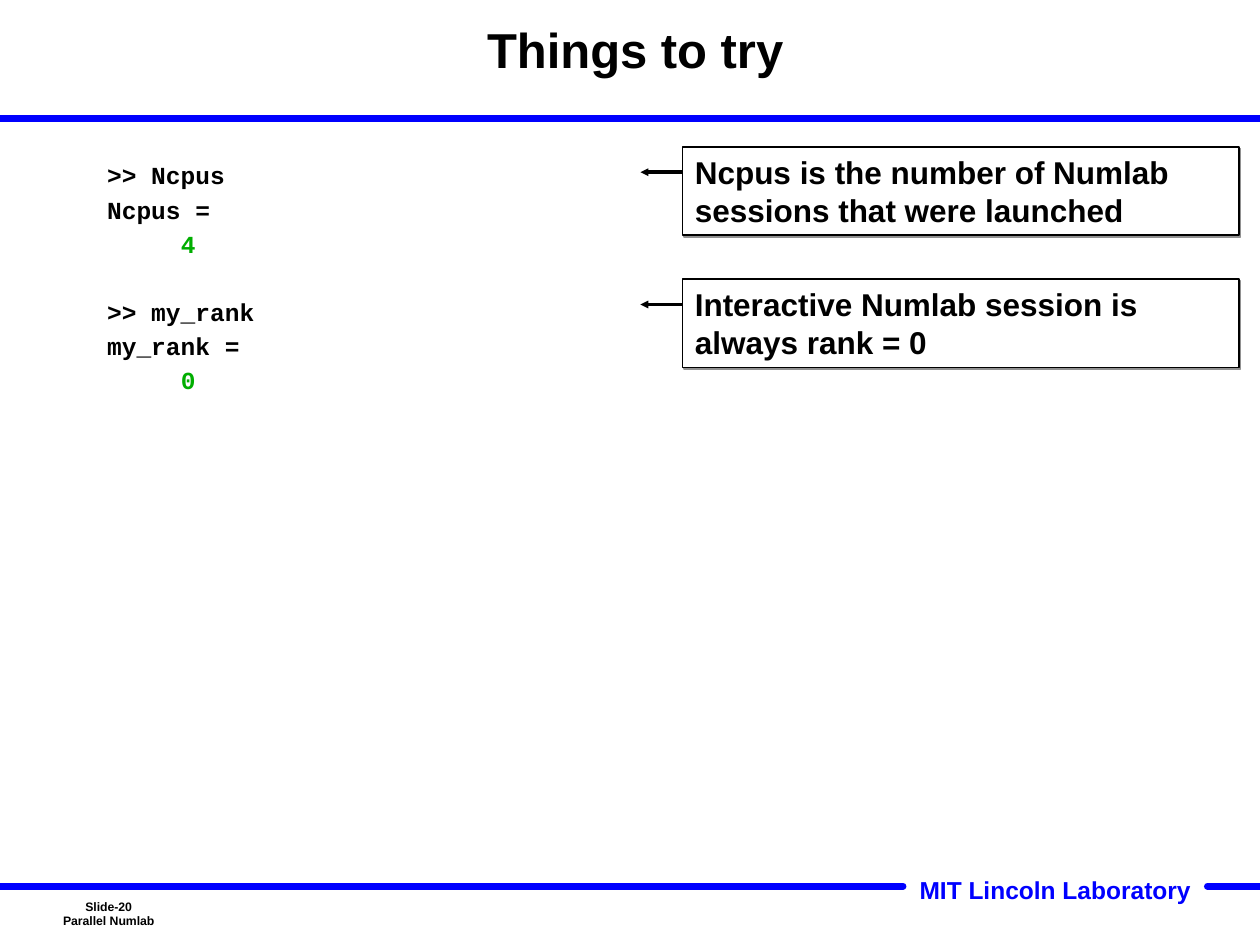
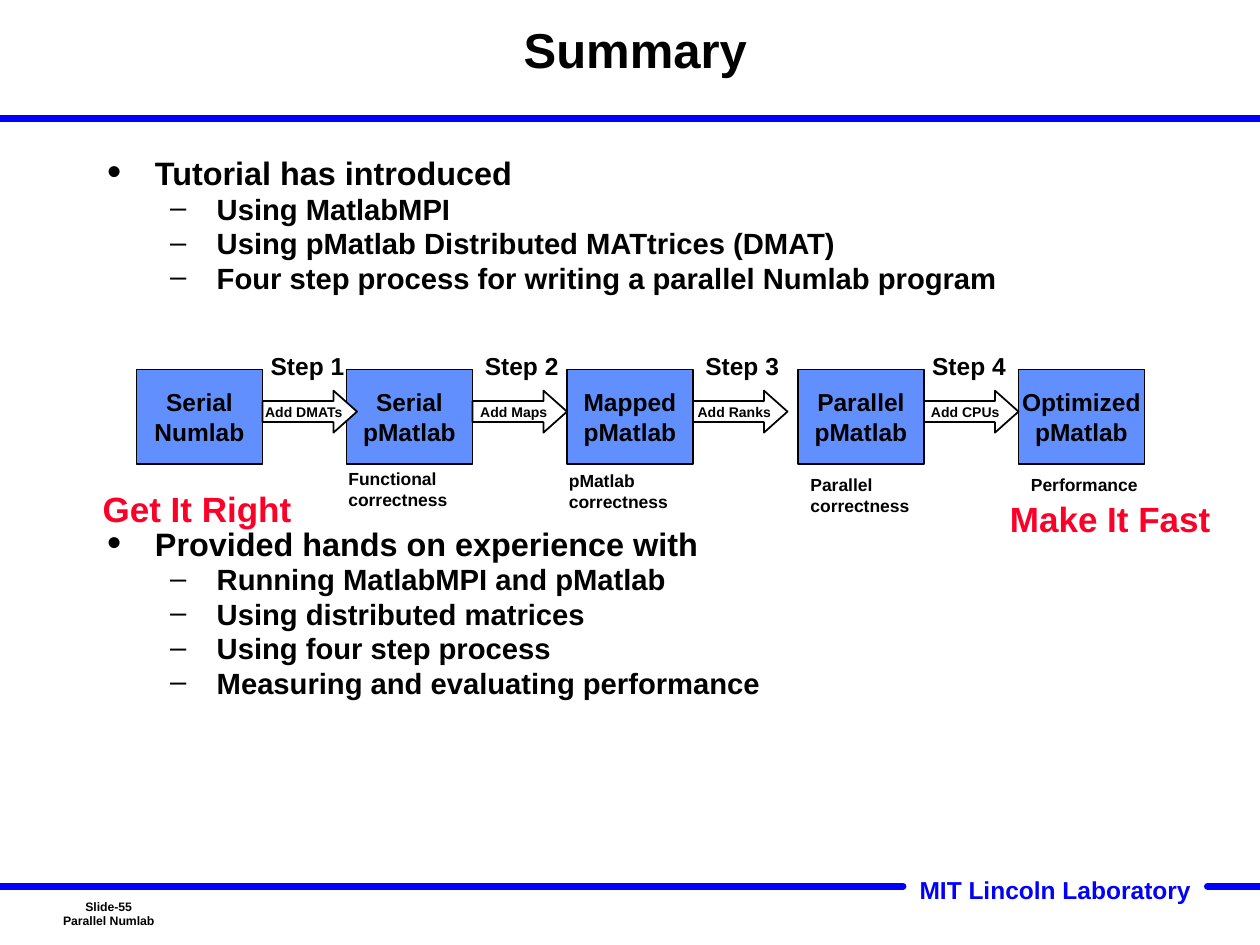
from lxml.etree import SubElement
from pptx import Presentation
from pptx.dml.color import RGBColor
from pptx.enum.shapes import MSO_CONNECTOR, MSO_SHAPE
from pptx.enum.text import MSO_ANCHOR, MSO_AUTO_SIZE, PP_ALIGN
from pptx.oxml.ns import qn
from pptx.util import Inches, Pt

BLACK, WHITE, BLUE = "000000", "FFFFFF", "0000FF"
BOX_BLUE, RED, GREEN, SHADOW = "618FFD", "FC0128", "00AE00", "919191"
SANS, MONO = "Arial", "Courier New"
TITLE_AREA = (14, 0, 93, 10)
RULES = [(0, 11.25, 120), (0, 84.4, 86), (115, 84.4, 120)]  # left, row, right

CODE_BLOCKS = [(">> Ncpus", "Ncpus =", "4"), (">> my_rank", "my_rank =", "0")]
CALLOUTS = [
    (14, ["Ncpus is the number of Numlab", "sessions that were launched"]),
    (26.6, ["Interactive Numlab session is", "always rank = 0"]),
]
SUMMARY = [
    ("Tutorial has introduced",
     ["Using MatlabMPI", "Using pMatlab Distributed MATtrices (DMAT)",
      "Four step process for writing a parallel Numlab program"]),
    ("Provided hands on experience with",
     ["Running MatlabMPI and pMatlab", "Using distributed matrices",
      "Using four step process", "Measuring and evaluating performance"]),
]
STAGES = [(13, "Serial", "Numlab"), (33, "Serial", "pMatlab"),
          (54, "Mapped", "pMatlab"), (76, "Parallel", "pMatlab"),
          (97, "Optimized", "pMatlab")]
STEPS = [(24.6, "Add DMATs"), (45, "Add Maps"), (66, "Add Ranks"),
         (87.6, "Add CPUs")]  # left of the step label, text of the arrow
CHECKS = [(32, 44, "Functional correctness"), (53, 44.2, "pMatlab correctness"),
          (76, 44.6, "Parallel correctness"), (97, 44.6, "Performance")]
SLOGANS = [(8.6, 45.8, 20.4, "Get It Right"), (95, 46.8, 21.5, "Make It Fast")]


def color(value):
    return RGBColor.from_string(value)


def grid(*cells):
    """Lengths on a grid of 120 columns and 90 rows, twelve to the inch."""
    return [Inches(cell / 12) for cell in cells]


def style(paragraph, size, font_color=BLACK, name=SANS):
    font = paragraph.font
    font.size, font.bold, font.name = Pt(size), True, name
    font.color.rgb = color(font_color)


def write(shape, lines, size, font_color=BLACK, align=PP_ALIGN.LEFT,
          anchor=MSO_ANCHOR.TOP, wrap=False):
    frame = shape.text_frame
    frame.text = "\n".join(lines)
    frame.word_wrap, frame.vertical_anchor = wrap, anchor
    for paragraph in frame.paragraphs:
        paragraph.alignment = align
        style(paragraph, size, font_color)


def add_label(slide, area, lines, size, **options):
    write(slide.shapes.add_textbox(*grid(*area)), lines, size, **options)


def add_block(slide, kind, area, fill):
    shape = slide.shapes.add_shape(kind, *grid(*area))
    shape.shadow.inherit = False
    shape.fill.solid()
    shape.fill.fore_color.rgb = color(fill)
    shape.line.color.rgb = color(BLACK)
    shape.line.width = Pt(1)
    return shape


def add_line(slide, ends, line_color, width, arrow=False):
    line = slide.shapes.add_connector(MSO_CONNECTOR.STRAIGHT, *grid(*ends))
    line.line.color.rgb = color(line_color)
    line.line.width = Pt(width)
    properties = line.line._get_or_add_ln()
    if arrow:
        SubElement(properties, qn("a:tailEnd"), type="triangle", w="sm", len="sm")
    else:
        properties.set("cap", "rnd")
    SubElement(line._element.spPr, qn("a:effectLst"))


def place(placeholder, area):
    placeholder.left, placeholder.top, placeholder.width, placeholder.height = grid(*area)
    placeholder.text_frame.auto_size = MSO_AUTO_SIZE.NONE


def set_bullet(paragraph, character=None, margin=0, hanging=0, percent=100):
    properties = paragraph._p.get_or_add_pPr()
    properties.set("marL", str(Inches(margin)))
    properties.set("indent", str(-Inches(hanging)))
    if character is None:
        SubElement(properties, qn("a:buNone"))
        return
    bullet_color = SubElement(properties, qn("a:buClr"))
    SubElement(bullet_color, qn("a:srgbClr"), val=BLACK)
    SubElement(properties, qn("a:buSzPct"), val=str(percent * 1000))
    SubElement(properties, qn("a:buFont"), typeface=SANS)
    SubElement(properties, qn("a:buChar"), char=character)


def next_paragraph(frame, spacing, before):
    """The empty first paragraph, or a new one with space before it."""
    first = frame.paragraphs[0]
    is_first = not first.runs
    paragraph = first if is_first else frame.add_paragraph()
    paragraph.line_spacing = spacing
    paragraph.space_before = Pt(0 if is_first else before)
    return paragraph


def add_base_slide(presentation, title, number, body_area):
    slide = presentation.slides.add_slide(presentation.slide_layouts[1])
    for left, row, right in RULES:
        add_line(slide, (left, row, right, row), BLUE, 4)
    add_label(slide, (86.4, 82.7, 28.3, 4), ["MIT Lincoln Laboratory"], 14,
              font_color=BLUE)
    add_label(slide, (3, 84, 14.7, 6), [f"Slide-{number}", "Parallel Numlab"], 7,
              align=PP_ALIGN.CENTER, anchor=MSO_ANCHOR.MIDDLE)
    heading = slide.shapes.title
    place(heading, TITLE_AREA)
    write(heading, [title], 28, align=PP_ALIGN.CENTER,
          anchor=MSO_ANCHOR.MIDDLE, wrap=True)
    heading.text_frame.paragraphs[0].line_spacing = Pt(30)
    body = slide.placeholders[1]
    place(body, body_area)
    return slide, body.text_frame


def add_code(frame):
    for command, answer, value in CODE_BLOCKS:
        for text, before in ((command, 23.8), (answer, 4.4), ("     ", 4.4)):
            paragraph = next_paragraph(frame, 0.9, before)
            set_bullet(paragraph)
            paragraph.add_run().text = text
            style(paragraph, 14, name=MONO)
        result = paragraph.add_run()
        result.text = value
        result.font.color.rgb = color(GREEN)


def add_callout(slide, row, lines):
    add_line(slide, (65, row + 2.4, 61, row + 2.4), BLACK, 2.25, arrow=True)
    box = add_block(slide, MSO_SHAPE.RECTANGLE, (65, row, 53, 8.4), WHITE)
    write(box, lines, 18, wrap=True)
    effects = box._element.spPr.find(qn("a:effectLst"))
    shadow = SubElement(effects, qn("a:outerShdw"), dist=str(Pt(1.4)),
                        dir="2700000", algn="ctr", rotWithShape="0")
    SubElement(shadow, qn("a:srgbClr"), val=SHADOW)


def add_outline(frame):
    for heading, items in SUMMARY:
        paragraph = next_paragraph(frame, 0.7, 137.2)  # leaves room for the process
        set_bullet(paragraph, "•", 0.38, 0.38, 125)
        paragraph.add_run().text = heading
        style(paragraph, 18.5)
        for item in items:
            paragraph = next_paragraph(frame, 0.7, 5.6)
            paragraph.level = 1
            set_bullet(paragraph, "–", 0.87, 0.37)
            paragraph.add_run().text = item
            style(paragraph, 16.7)


def add_process(slide):
    centered = {"align": PP_ALIGN.CENTER, "anchor": MSO_ANCHOR.MIDDLE}
    for left, *lines in STAGES:
        box = add_block(slide, MSO_SHAPE.RECTANGLE, (left, 35.2, 12, 9), BOX_BLUE)
        write(box, lines, 14, **centered)
    for number, (stage, step) in enumerate(zip(STAGES, STEPS), start=1):
        label_left, action = step
        arrow = add_block(slide, MSO_SHAPE.RIGHT_ARROW,
                          (stage[0] + 12, 37.2, 9, 4), WHITE)
        arrow.adjustments[1] = 0.56
        write(arrow, [action], 8, **centered)
        add_label(slide, (label_left, 32.8, 9.4, 4), [f"Step {number}"], 14)
    for left, top, text in CHECKS:
        add_label(slide, (left, top, 15, 5.3), [text], 10, wrap=True)
    for left, top, width, text in SLOGANS:
        add_label(slide, (left, top, width, 5.3), [text], 20, font_color=RED)


def main():
    presentation = Presentation()
    presentation.slide_width, presentation.slide_height = grid(120, 90)

    # Code session with callouts
    slide, body = add_base_slide(presentation, "Things to try", 20, (9, 15, 102, 65))
    add_code(body)
    for row, lines in CALLOUTS:
        add_callout(slide, row, lines)

    # Summary with the four-step process
    slide, body = add_base_slide(presentation, "Summary", 55, (9, 15, 108, 65))
    add_outline(body)
    add_process(slide)

    presentation.save("out.pptx")


if __name__ == "__main__":
    main()
